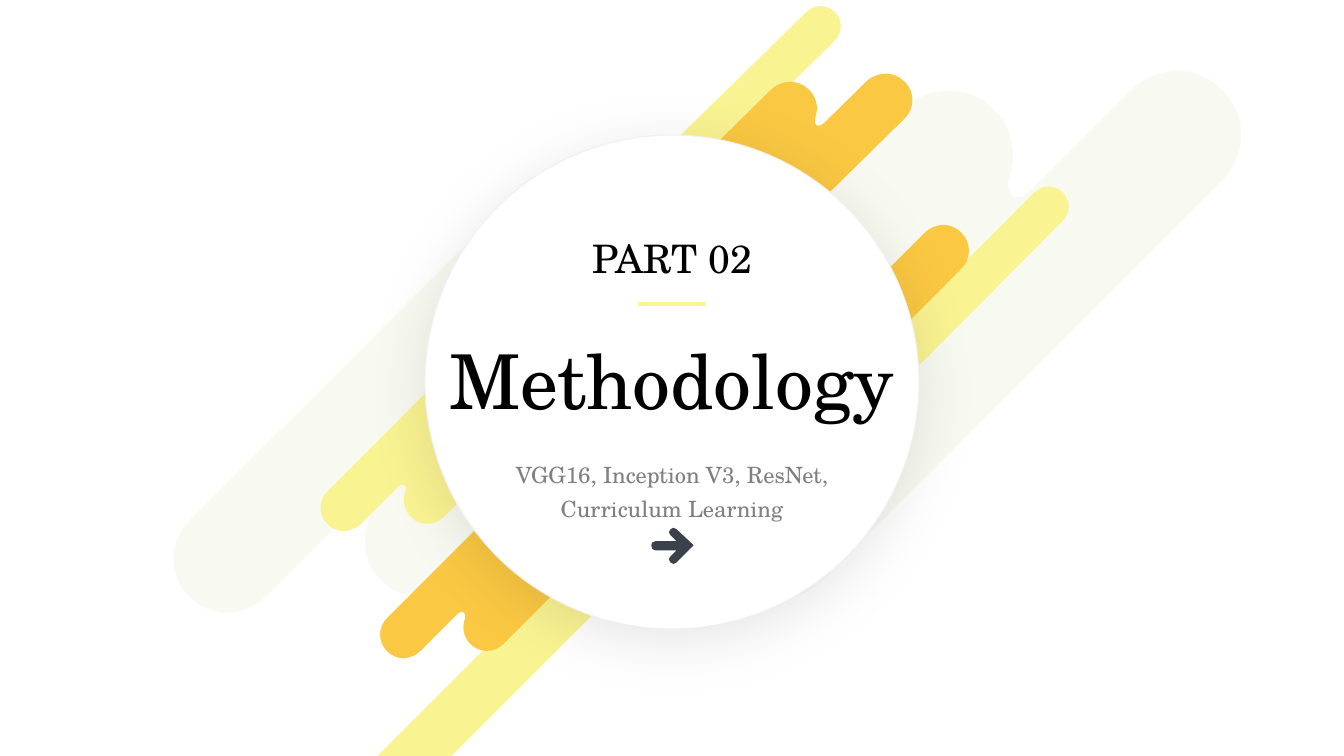
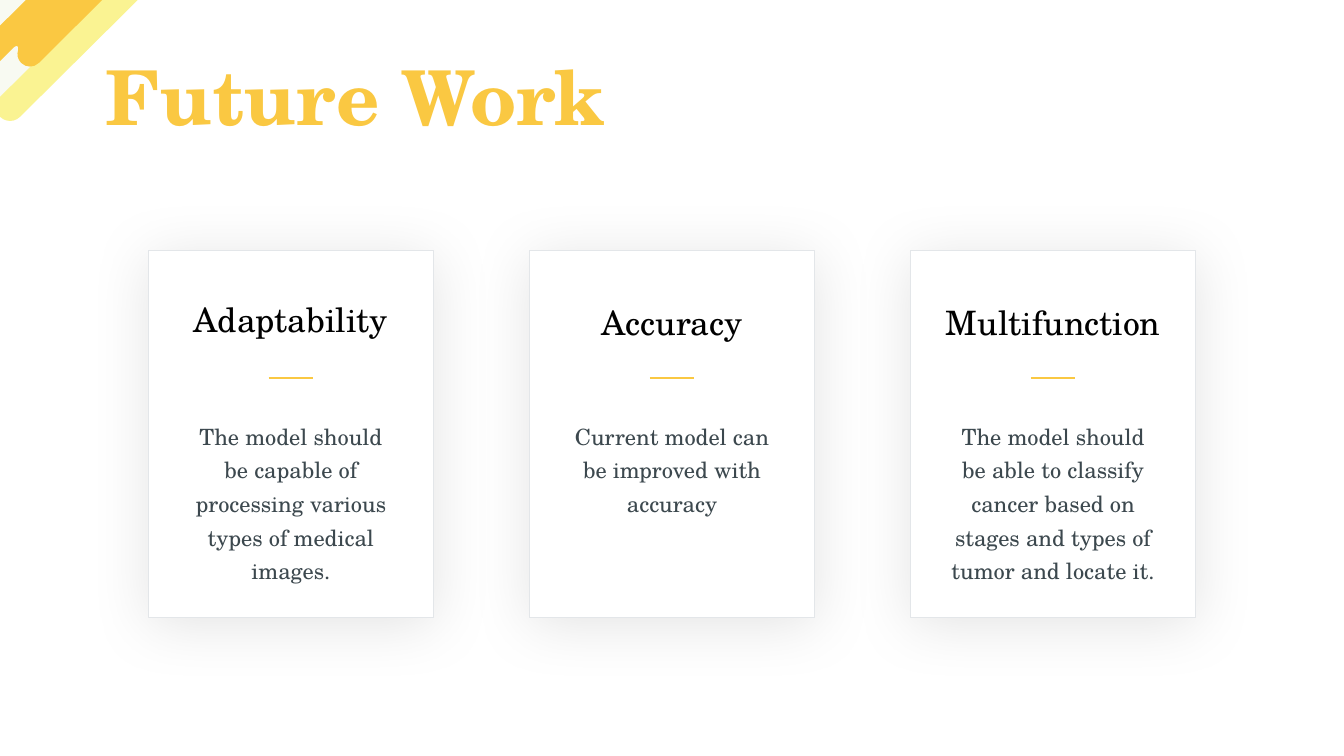
from math import atan2, degrees, hypot

from lxml import etree
from pptx import Presentation
from pptx.dml.color import RGBColor
from pptx.enum.shapes import MSO_CONNECTOR, MSO_SHAPE
from pptx.enum.text import MSO_AUTO_SIZE, PP_ALIGN
from pptx.oxml.ns import qn
from pptx.util import Inches, Pt

LINE = MSO_CONNECTOR.STRAIGHT
OVAL, RECT, PILL = MSO_SHAPE.OVAL, MSO_SHAPE.RECTANGLE, MSO_SHAPE.ROUNDED_RECTANGLE
LEFT, MID = PP_ALIGN.LEFT, PP_ALIGN.CENTER
GROW = MSO_AUTO_SIZE.SHAPE_TO_FIT_TEXT

WHITE = RGBColor(0xFF, 0xFF, 0xFF)
BLACK = RGBColor(0x00, 0x00, 0x00)
MIST = RGBColor(0xF8, 0xFA, 0xF2)
LEMON = RGBColor(0xFA, 0xF3, 0x92)
AMBER = RGBColor(0xFA, 0xC8, 0x42)
RIM = RGBColor(0xF0, 0xF0, 0xF0)
EDGE = RGBColor(0xE3, 0xE6, 0xE9)
GREY = RGBColor(0x7F, 0x7F, 0x7F)
SLATE = RGBColor(0x3C, 0x48, 0x4E)
INK = RGBColor(0x3A, 0x41, 0x4B)

FONT = "TeX Gyre Schola"
WIDE, HIGH = 13.33, 7.5
AXIS = WIDE / 2

# Content
PART = "PART 02"
TOPIC = "Methodology"
NOTE = "VGG16, Inception V3, ResNet, Curriculum Learning"
HEAD = "Future Work"
CARDS = [
    ("Adaptability", 2.92,
     "The model should be capable of processing various types of medical images."),
    ("Accuracy", 2.95, "Current model can be improved with accuracy"),
    ("Multifunction", 2.95,
     "The model should be able to classify cancer based on stages and types of "
     "tumor and locate it."),
]

# Decoration, back to front: blobs as left, top, width, height;
# bars as the two end centres and the radius
BURST = [
    ("blob", MIST, (4.81, 0.7, 7.5, 5.44)),
    ("blob", MIST, (1.72, 1.52, 6.29, 4.56)),
    ("bar", LEMON, (6.2, 2.16, 8.14, 0.26, 0.2)),
    ("blob", AMBER, (5.91, 0.73, 3.14, 2.24)),
    ("bar", LEMON, (8.56, 3.9, 10.4, 2.05, 0.2)),
    ("blob", AMBER, (6.6, 2.23, 3.01, 2.19)),
    ("blob", LEMON, (3.18, 3.28, 2.74, 1.99)),
    ("bar", LEMON, (3.93, 7.68, 6.33, 5.28, 0.26)),
    ("blob", AMBER, (3.77, 4.54, 2.74, 1.99)),
]
CORNER = [
    ("blob", MIST, (-1.72, -0.98, 3.38, 2.45)),
    ("bar", LEMON, (0.1, 1.06, 1.39, -0.22, 0.14)),
    ("blob", AMBER, (-0.27, -0.36, 1.47, 1.06)),
]

# Half a blob around its centre: one point is a line, three points a curve
SPAN = (7.5, 5.44)
TIP = (3.75, -2.08)
HALF = [
    [(3.75, -2.24), (3.69, -2.4), (3.56, -2.53)],
    [(3.44, -2.65), (3.28, -2.72), (3.11, -2.72)],
    [(2.95, -2.71), (2.79, -2.65), (2.66, -2.53)],
    [(1.66, -1.53)],
    [(1.61, -1.48), (1.57, -1.46), (1.53, -1.46)],
    [(1.45, -1.46), (1.42, -1.55), (1.45, -1.66)],
    [(1.53, -1.9), (1.48, -2.15), (1.3, -2.33)],
    [(1.18, -2.46), (1.01, -2.52), (0.85, -2.52)],
    [(0.69, -2.52), (0.53, -2.46), (0.4, -2.33)],
    [(-3.56, 1.63)],
    [(-3.68, 1.75), (-3.75, 1.91), (-3.75, 2.08)],
]
BLOB = HALF + [[(-x, -y) for x, y in seg] for seg in HALF]

ARROW = [
    [(6.63, 5.56), (6.63, 5.54), (6.65, 5.52)],
    [(6.71, 5.46)], [(6.5, 5.46)],
    [(6.47, 5.46), (6.46, 5.44), (6.46, 5.41)],
    [(6.46, 5.39), (6.47, 5.37), (6.5, 5.37)],
    [(6.71, 5.37)], [(6.65, 5.31)],
    [(6.63, 5.29), (6.63, 5.27), (6.65, 5.25)],
    [(6.67, 5.23), (6.69, 5.23), (6.71, 5.25)],
    [(6.88, 5.41)], [(6.71, 5.58)],
    [(6.69, 5.6), (6.67, 5.6), (6.65, 5.58)],
]


def paint(shape, fill, line=None):
    shape.shadow.inherit = False
    shape.fill.solid()
    shape.fill.fore_color.rgb = fill
    if line is None:
        shape.line.fill.background()
    else:
        shape.line.color.rgb = line
        shape.line.width = Pt(0.75)


def shade(shape, alpha, blur, dist):
    """Soft black shadow falling straight down."""
    box = shape._element.spPr.find(qn("a:effectLst"))
    glow = etree.SubElement(box, qn("a:outerShdw"), blurRad=str(Pt(blur)),
                            dist=str(Pt(dist)), dir="5400000", algn="t",
                            rotWithShape="0")
    tint = etree.SubElement(glow, qn("a:srgbClr"), val="000000")
    etree.SubElement(tint, qn("a:alpha"), val=str(alpha * 1000))


def outline(slide, start, segs, fill):
    """Freeform through the ends of all segments, then bent into curves."""
    pen = slide.shapes.build_freeform(*map(Inches, start))
    pen.add_line_segments([tuple(map(Inches, seg[-1])) for seg in segs], close=True)
    shape = pen.convert_to_shape()
    for step, seg in zip(list(shape._element.iter(qn("a:lnTo"))), segs):
        if len(seg) == 3:
            step.tag = qn("a:cubicBezTo")
            for n, (x, y) in enumerate(seg[:2]):
                knot = etree.Element(qn("a:pt"), x=str(Inches(x) - shape.left),
                                     y=str(Inches(y) - shape.top))
                step.insert(n, knot)
    paint(shape, fill)


def blob(slide, fill, x, y, w, h):
    def fit(dot):
        return x + w * (0.5 + dot[0] / SPAN[0]), y + h * (0.5 + dot[1] / SPAN[1])

    outline(slide, fit(TIP), [[fit(dot) for dot in seg] for seg in BLOB], fill)


def bar(slide, fill, x1, y1, x2, y2, r):
    w = hypot(x2 - x1, y2 - y1) + 2 * r
    pill = slide.shapes.add_shape(
        PILL, Inches((x1 + x2 - w) / 2), Inches((y1 + y2) / 2 - r),
        Inches(w), Inches(2 * r))
    pill.adjustments[0] = 0.5
    pill.rotation = degrees(atan2(y2 - y1, x2 - x1))
    paint(pill, fill)


def adorn(slide, parts):
    draw = {"blob": blob, "bar": bar}
    for kind, fill, spot in parts:
        draw[kind](slide, fill, *spot)


def panel(slide, kind, x, y, w, h, line):
    shape = slide.shapes.add_shape(kind, *map(Inches, (x, y, w, h)))
    paint(shape, WHITE, line)
    return shape


def write(slide, text, x, y, w, h, size, color, align=MID, bold=False, gap=None):
    frame = slide.shapes.add_textbox(*map(Inches, (x, y, w, h))).text_frame
    frame.word_wrap = True
    frame.auto_size = GROW
    para = frame.paragraphs[0]
    para.alignment = align
    if gap:
        para.line_spacing = gap
    run = para.add_run()
    run.text = text
    font = run.font
    font.name, font.size, font.bold = FONT, Pt(size), bold
    font.color.rgb = color


def center(slide, text, mid, y, w, h, size, color, gap=None):
    write(slide, text, mid - w / 2, y, w, h, size, color, gap=gap)


def rule(slide, mid, y, w, color, weight):
    line = slide.shapes.add_connector(
        LINE, Inches(mid - w / 2), Inches(y), Inches(mid + w / 2), Inches(y))
    line.line.color.rgb = color
    line.line.width = Pt(weight)
    etree.SubElement(line._element.spPr, qn("a:effectLst"))


def section(slide):
    adorn(slide, BURST)
    disc = panel(slide, OVAL, AXIS - 2.45, 1.34, 4.9, 4.9, RIM)
    shade(disc, 10, 45, 8)
    center(slide, TOPIC, AXIS, 3.26, 4.66, 1.01, 54, BLACK)
    center(slide, PART, AXIS, 2.28, 2.34, 0.57, 28, BLACK)
    rule(slide, AXIS, 3.02, 0.68, LEMON, 3)
    center(slide, NOTE, AXIS, 4.46, 3.58, 0.71, 16, GREY, gap=1.25)
    outline(slide, (6.65, 5.58), ARROW, INK)


def future(slide):
    adorn(slide, CORNER)
    write(slide, HEAD, 0.95, 0.45, 7.07, 1.01, 54, AMBER, LEFT, True)
    w, pitch = 2.82, 3.78
    for i, (name, top, body) in enumerate(CARDS):
        mid = AXIS + (i - 1) * pitch
        card = panel(slide, RECT, mid - w / 2, 2.49, w, 3.64, EDGE)
        shade(card, 11, 44, 4)
        center(slide, name, mid, top, 2.38, 0.5, 24, BLACK)
        center(slide, body, mid, 4.08, 2.22, 1.72, 16, SLATE, gap=1.25)
        rule(slide, mid, 3.75, 0.44, AMBER, 1.5)


def main():
    deck = Presentation()
    deck.slide_width, deck.slide_height = Inches(WIDE), Inches(HIGH)
    for build in (section, future):
        build(deck.slides.add_slide(deck.slide_layouts[6]))
    deck.save("out.pptx")


if __name__ == "__main__":
    main()
